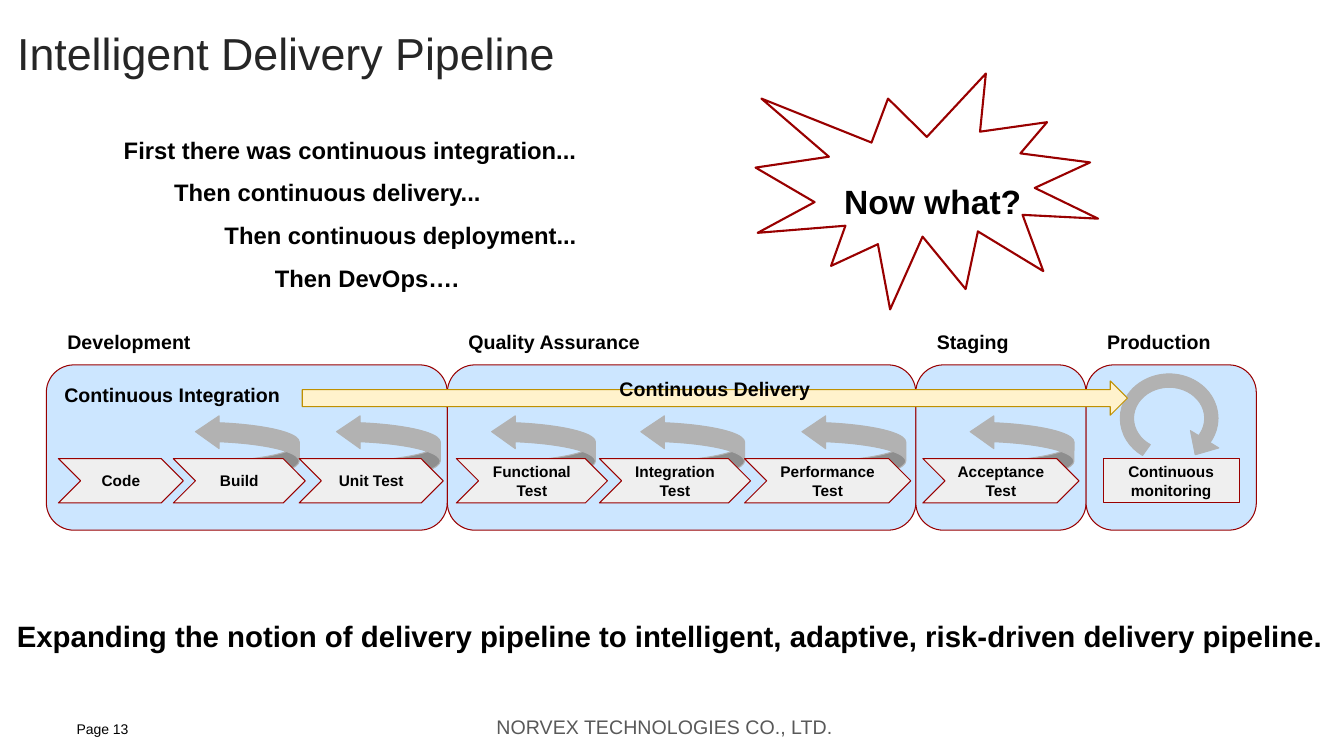
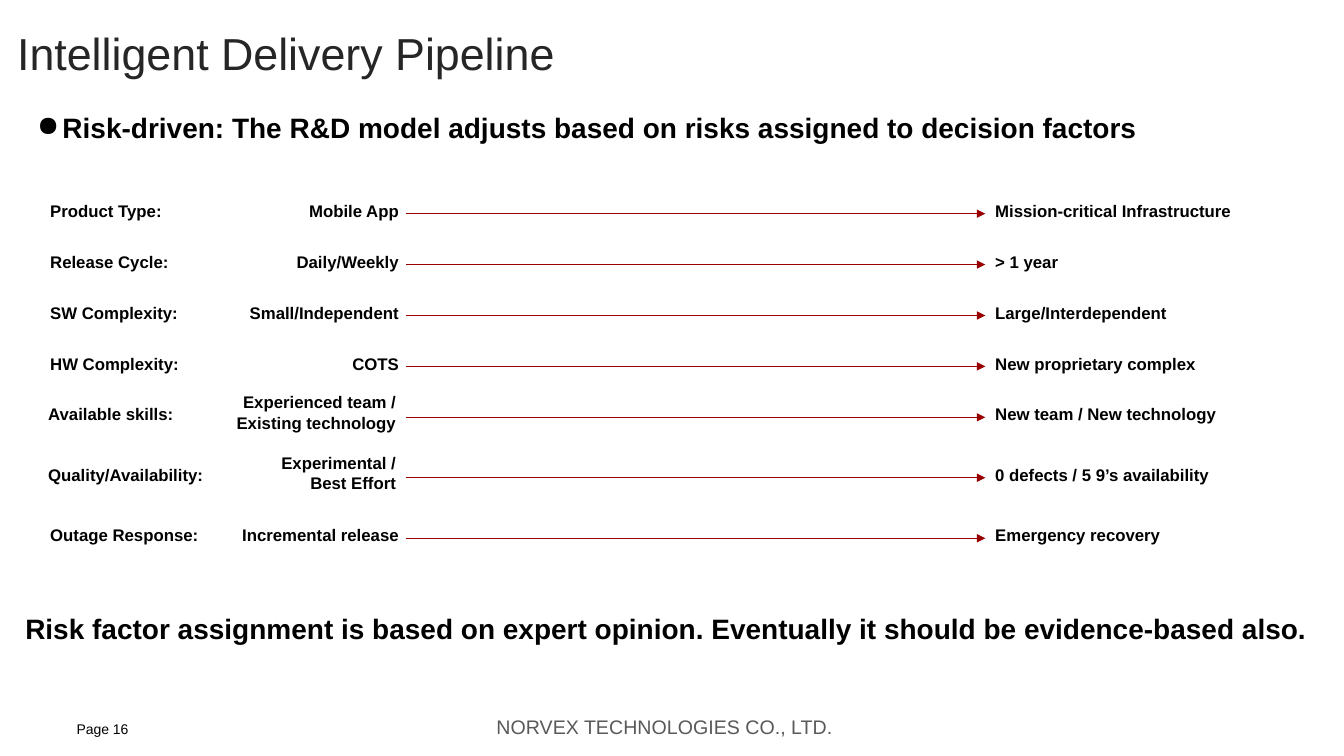
from pptx import Presentation
from pptx.dml.color import RGBColor
from pptx.enum.shapes import MSO_CONNECTOR, MSO_SHAPE as Shape
from pptx.enum.text import MSO_ANCHOR as Anchor, PP_ALIGN as Align
from pptx.oxml.ns import qn
from pptx.util import Inches, Pt
from lxml.etree import SubElement

BLACK = RGBColor(0x00, 0x00, 0x00)
TITLE_GRAY = RGBColor(0x26, 0x26, 0x26)
FOOTER_GRAY = RGBColor(0x59, 0x59, 0x59)
DARK_RED = RGBColor(0x99, 0x00, 0x00)
STAGE_BLUE = RGBColor(0xCC, 0xE6, 0xFF)
STEP_GRAY = RGBColor(0xEF, 0xEF, 0xEF)
LOOP_GRAY = RGBColor(0xB2, 0xB2, 0xB2)
PALE_GOLD = RGBColor(0xFF, 0xF2, 0xCC)
GOLD = RGBColor(0xBF, 0x90, 0x00)

FONT = "Arial"
TITLE = "Intelligent Delivery Pipeline"
COMPANY = "NORVEX TECHNOLOGIES CO., LTD."
INSETS = (0.1, 0.1, 0.1, 0.1)
NO_INSETS = (0, 0, 0, 0)

INTRO = [
    "First there was continuous integration...",
    "Then continuous delivery...",
    "Then continuous deployment...",
    "Then DevOps….",
]

# Stage: name, width, caption, steps.
# Step: text, offset in the stage, width, offset of its feedback loop.
STAGES = [
    ("Development", 3.98, "Continuous Integration", [
        ("Code", 0.12, 1.24, None),
        ("Build", 1.26, 1.31, 1.48),
        ("Unit Test", 2.51, 1.43, 2.88)]),
    ("Quality Assurance", 4.65, "", [
        ("Functional Test", 0.09, 1.5, 0.44),
        ("Integration Test", 1.51, 1.5, 1.92),
        ("Performance Test", 2.95, 1.65, 3.52)]),
    ("Staging", 1.69, "", [
        ("Acceptance Test", 0.07, 1.55, 0.54)]),
    ("Production", 1.69, "", []),
]
STAGE_HEIGHT = 1.64
STEP_TOP, STEP_HEIGHT = 0.93, 0.44

RISK_FACTORS = [
    ("Product Type:", "Mobile App", "Mission-critical Infrastructure"),
    ("Release Cycle:", "Daily/Weekly", "> 1 year"),
    ("SW Complexity:", "Small/Independent", "Large/Interdependent"),
    ("HW Complexity:", "COTS", "New proprietary complex"),
    ("Available skills:", "Experienced team /\nExisting technology",
     "New team / New technology"),
    ("Quality/Availability:", "Experimental /\nBest Effort",
     "0 defects / 5 9’s availability"),
    ("Outage Response:", "Incremental release", "Emergency recovery"),
]


def write(shape, text, size=14, color=BLACK, bold=True, align=Align.LEFT,
          anchor=Anchor.TOP, insets=INSETS, spacing=None, step_indent=0):
    """Fill a shape with text; each line is indented step_indent more than the last."""
    frame = shape.text_frame
    frame.word_wrap = True
    frame.vertical_anchor = anchor
    (frame.margin_left, frame.margin_top,
     frame.margin_right, frame.margin_bottom) = map(Inches, insets)
    for index, line in enumerate(text.split("\n")):
        paragraph = frame.paragraphs[0] if index == 0 else frame.add_paragraph()
        paragraph.alignment = align
        paragraph.line_spacing = spacing
        if step_indent:
            paragraph._p.get_or_add_pPr().set("marL", str(Inches(step_indent * index)))
        run = paragraph.add_run()
        run.text = line
        run.font.name = FONT
        run.font.size = Pt(size)
        run.font.bold = bold
        run.font.color.rgb = color


def add_label(slide, box, text, **text_format):
    label = slide.shapes.add_textbox(*map(Inches, box))
    write(label, text, **text_format)
    return label


def add_figure(slide, preset, box, fill=None, line=DARK_RED, width=0.75,
               adjustments=(), rotation=0):
    figure = slide.shapes.add_shape(preset, *map(Inches, box))
    figure.shadow.inherit = False
    if fill is None:
        figure.fill.background()
    else:
        figure.fill.solid()
        figure.fill.fore_color.rgb = fill
    figure.line.color.rgb = line
    figure.line.width = Pt(width)
    for index, value in enumerate(adjustments):
        figure.adjustments[index] = value
    figure.rotation = rotation
    return figure


def add_arrow(slide, start, end):
    """Join the right side of start to the left side of end."""
    arrow = slide.shapes.add_connector(MSO_CONNECTOR.STRAIGHT, 0, 0, 0, 0)
    arrow.begin_connect(start, 3)
    arrow.end_connect(end, 1)
    arrow.line.color.rgb = DARK_RED
    arrow.line.width = Pt(0.75)
    properties = arrow.element.spPr
    SubElement(properties.find(qn("a:ln")), qn("a:tailEnd"), type="triangle")
    SubElement(properties, qn("a:effectLst"))


def add_bullet(label, left, hanging):
    properties = label.text_frame.paragraphs[0]._p.get_or_add_pPr()
    properties.set("marL", str(Inches(left)))
    properties.set("indent", str(-Inches(hanging)))
    SubElement(properties, qn("a:buChar"), char="●")


def new_slide(deck, page):
    """Add a blank slide with the shared title and footer."""
    slide = deck.slides.add_slide(deck.slide_layouts[6])
    add_label(slide, (0.76, 7.13, 1.54, 0.2), f"Page {page}", size=10, bold=False,
              anchor=Anchor.MIDDLE, insets=NO_INSETS)
    add_label(slide, (4.8, 7.09, 3.69, 0.24), COMPANY, color=FOOTER_GRAY, bold=False,
              align=Align.CENTER, insets=(0, 0, 0.1, 0))
    add_label(slide, (0.17, 0.25, 12.89, 0.54), TITLE, size=32, color=TITLE_GRAY,
              bold=False, anchor=Anchor.MIDDLE, insets=NO_INSETS)
    return slide


def add_step(slide, preset, box, text):
    step = add_figure(slide, preset, box, STEP_GRAY)
    write(step, text, size=11, align=Align.CENTER, anchor=Anchor.MIDDLE)


def add_stage(slide, left, top, stage):
    name, width, caption, steps = stage
    panel = add_figure(slide, Shape.ROUNDED_RECTANGLE, (left, top, width, STAGE_HEIGHT),
                       STAGE_BLUE)
    if caption:
        write(panel, caption)
    add_label(slide, (left + 0.11, top - 0.45, 2.05, 0.39), name)
    for _, _, _, loop in steps:
        if loop is not None:
            add_figure(slide, Shape.CURVED_RIGHT_ARROW,
                       (left + loop, top + 0.5, 1.03, 0.65), LOOP_GRAY, LOOP_GRAY,
                       adjustments=(0.29, 0.5, 0.36), rotation=180)
    for text, offset, step_width, _ in steps:
        add_step(slide, Shape.CHEVRON,
                 (left + offset, top + STEP_TOP, step_width, STEP_HEIGHT), text)


def add_monitoring(slide, left, top):
    """Draw the endless loop and its step in the stage at left, top."""
    add_figure(slide, Shape.BLOCK_ARC, (left + 0.34, top + 0.09, 0.97, 0.88),
               LOOP_GRAY, LOOP_GRAY, adjustments=(75.35, 18.9, 0.15))
    add_figure(slide, Shape.RIGHT_ARROW, (left + 1.04, top + 0.65, 0.18, 0.33),
               LOOP_GRAY, LOOP_GRAY, adjustments=(0.49, 1), rotation=121.4)
    add_step(slide, Shape.RECTANGLE, (left + 0.17, top + STEP_TOP, 1.35, STEP_HEIGHT),
             "Continuous monitoring")


def add_pipeline(slide, left, top):
    stage_left = left
    for stage in STAGES:
        add_stage(slide, stage_left, top, stage)
        stage_left += stage[1]
    add_monitoring(slide, stage_left - STAGES[-1][1], top)
    add_figure(slide, Shape.RIGHT_ARROW, (left + 2.54, top + 0.16, 8.19, 0.34),
               PALE_GOLD, GOLD)
    add_label(slide, (left + 5.59, top + 0.09, 2.24, 0.3), "Continuous Delivery",
              anchor=Anchor.MIDDLE)


def add_risk_scale(slide, left, centre):
    """Draw one row per factor, from low to high risk, the first at height centre."""
    height = 0.34
    for factor, low, high in RISK_FACTORS:
        two_lines = "\n" in low
        low_height = 0.5 if two_lines else height
        top = centre - height / 2
        add_label(slide, (left - 0.02 * two_lines, top, 2.2, height), factor,
                  size=12, anchor=Anchor.BOTTOM)
        low_end = add_label(slide, (left + 1.46, centre - low_height / 2, 2.17, low_height),
                            low, size=12, align=Align.RIGHT, anchor=Anchor.BOTTOM,
                            insets=(0.1, 0.1, 0.1 if two_lines else 0.07, 0.1))
        high_end = add_label(slide, (left + 9.38, top, 3.5, height), high,
                             size=12, anchor=Anchor.BOTTOM)
        add_arrow(slide, low_end, high_end)
        centre += 0.6 if two_lines else 0.505


def build_pipeline_slide(deck):
    slide = new_slide(deck, 13)
    add_figure(slide, Shape.EXPLOSION1, (7.5, 0.73, 3.4, 2.34), width=1.5)
    add_label(slide, (8.28, 1.46, 2.44, 0.87), "Now what?", size=24,
              anchor=Anchor.MIDDLE, spacing=1.5)
    add_label(slide, (1.13, 1.1, 5.63, 1.99), "\n".join(INTRO), size=17,
              spacing=1.5, step_indent=0.5)
    add_pipeline(slide, 0.46, 3.62)
    add_label(slide, (0, 5.81, 13.3, 0.79),
              "Expanding the notion of delivery pipeline to intelligent, adaptive, "
              "risk-driven delivery pipeline.",
              size=21, align=Align.CENTER, anchor=Anchor.MIDDLE, spacing=1.6)


def build_risk_slide(deck):
    slide = new_slide(deck, 16)
    headline = add_label(slide, (0, 1.04, 13.34, 0.74),
                         "Risk-driven: The R&D model adjusts based on risks assigned "
                         "to decision factors",
                         size=20, insets=(0.12, 0.06, 0.12, 0.06))
    add_bullet(headline, 0.5, 0.25)
    add_risk_scale(slide, 0.4, 2.12)
    add_label(slide, (0.09, 5.96, 13.05, 0.54),
              "Risk factor assignment is based on expert opinion. Eventually it should "
              "be evidence-based also.",
              size=20, align=Align.CENTER, anchor=Anchor.MIDDLE)


def main():
    deck = Presentation()
    deck.slide_width, deck.slide_height = Inches(13.34), Inches(7.5)
    build_pipeline_slide(deck)
    build_risk_slide(deck)
    deck.save("out.pptx")


if __name__ == "__main__":
    main()
